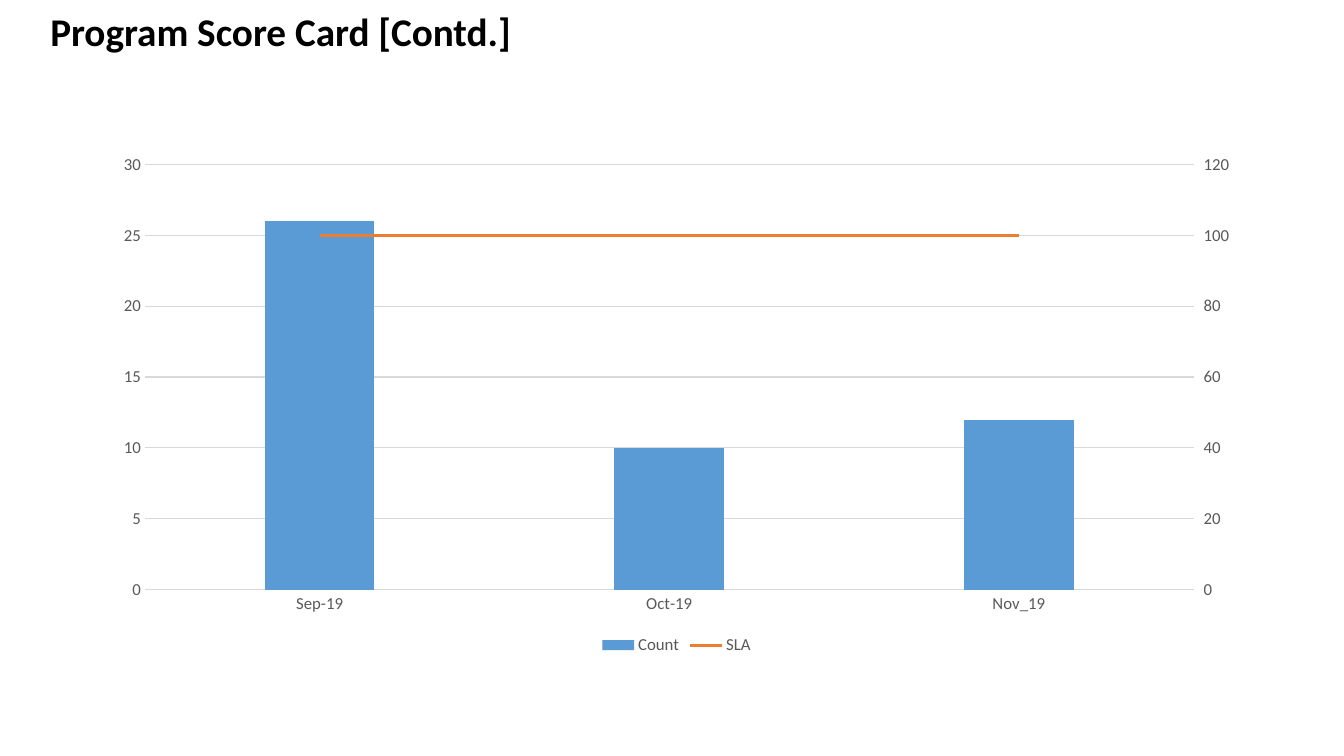
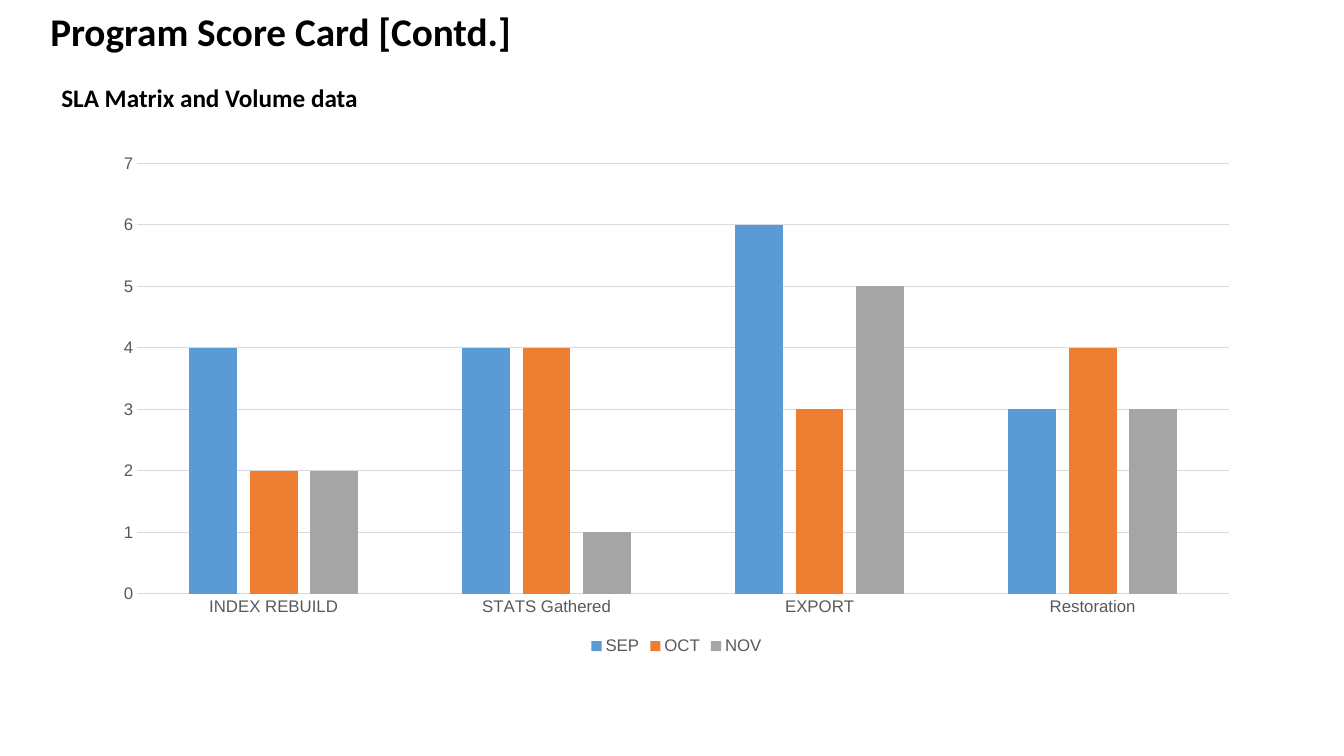
from copy import deepcopy

from pptx import Presentation
from pptx import util as u
from pptx.chart.axis import ValueAxis
from pptx.chart.data import CategoryChartData
from pptx.dml.color import RGBColor
from pptx.enum import chart as charts
from pptx.oxml.xmlchemy import OxmlElement

PX = 9144
COLORS = {
    "text": "000000",
    "label": "595959",
    "grid": "D9D9D9",
    "blue": "5B9BD5",
    "orange": "ED7D31",
    "gray": "A5A5A5",
}
SERIES_COLORS = ["blue", "orange", "gray"]
TITLE_BOX = (40, 2, 965, 103)
SUBTITLE_BOX = (51, 77, 314, 40)
CHART_BOX = (100, 143, 1142, 511)

SLIDES = [
    {
        "subtitle": None,
        "font": "Calibri",
        "categories": ["Sep-19", "Oct-19", "Nov_19"],
        "series": {"Count": [26, 10, 12], "SLA": [100, 100, 100]},
        "scale": (30, 5),
        "overlap": 0,
        "line_scale": (120, 20),
    },
    {
        "subtitle": "SLA Matrix and Volume data",
        "font": "Arial",
        "categories": ["INDEX REBUILD", "STATS Gathered", "EXPORT", "Restoration"],
        "series": {"SEP": [4, 4, 6, 3], "OCT": [2, 4, 3, 4], "NOV": [2, 1, 5, 3]},
        "scale": (7, 1),
        "overlap": -27,
        "line_scale": None,
    },
]


def style_font(font, name, size, color, bold=False):
    font.name = name
    font.size = u.Pt(size)
    font.bold = bold
    font.color.rgb = RGBColor.from_string(COLORS[color])


def add_value(parent, tag, value):
    child = OxmlElement(tag)
    child.set("val", value)
    parent.append(child)


presentation = Presentation()
presentation.slide_width = 1333 * PX
presentation.slide_height = 750 * PX

for content in SLIDES:
    slide = presentation.slides.add_slide(presentation.slide_layouts[6])

    headings = [("Program Score Card [Contd.]", TITLE_BOX, 28)]
    if content["subtitle"]:
        headings.append((content["subtitle"], SUBTITLE_BOX, 18))
    for words, box, size in headings:
        shape = slide.shapes.add_textbox(*[length * PX for length in box])
        shape.text_frame.word_wrap = True
        run = shape.text_frame.paragraphs[0].add_run()
        run.text = words
        style_font(run.font, "Calibri", size, "text", True)

    data = CategoryChartData()
    data.categories = content["categories"]
    for name, values in content["series"].items():
        data.add_series(name, values)
    chart = slide.shapes.add_chart(
        charts.XL_CHART_TYPE.COLUMN_CLUSTERED,
        *[length * PX for length in CHART_BOX],
        data,
    ).chart
    chart.has_title = False
    style_font(chart.font, content["font"], 12, "label")
    chart.has_legend = True
    chart.legend.position = charts.XL_LEGEND_POSITION.BOTTOM
    chart.legend.include_in_layout = False
    style_font(chart.legend.font, content["font"], 12, "label")

    for axis in (chart.category_axis, chart.value_axis):
        axis.major_tick_mark = charts.XL_TICK_MARK.NONE
        style_font(axis.tick_labels.font, content["font"], 12, "label")
    value_axis = chart.value_axis
    value_axis.format.line.fill.background()
    value_axis.minimum_scale = 0
    value_axis.maximum_scale, value_axis.major_unit = content["scale"]
    value_axis.has_major_gridlines = True
    for line in (chart.category_axis.format.line, value_axis.major_gridlines.format.line):
        line.color.rgb = RGBColor.from_string(COLORS["grid"])
        line.width = u.Pt(0.75)

    bars = chart.plots[0]
    bars.vary_by_categories = False
    bars.gap_width = 219
    bars.overlap = content["overlap"]
    for series, color in zip(bars.series, SERIES_COLORS):
        series.format.fill.solid()
        series.format.fill.fore_color.rgb = RGBColor.from_string(COLORS[color])

    if content["line_scale"]:
        root = chart.element
        bar_chart = root.xpath(".//c:barChart")[0]
        line_series = bar_chart.xpath("./c:ser")[1]
        for tag in ("c:invertIfNegative", "c:spPr"):
            for child in line_series.xpath("./" + tag):
                line_series.remove(child)
        line_chart = OxmlElement("c:lineChart")
        add_value(line_chart, "c:grouping", "standard")
        add_value(line_chart, "c:varyColors", "0")
        line_chart.append(line_series)
        add_value(line_chart, "c:marker", "1")
        add_value(line_chart, "c:axId", "3001")
        add_value(line_chart, "c:axId", "3002")
        bar_chart.addnext(line_chart)

        first_category = root.xpath(".//c:catAx")[0]
        first_value = root.xpath(".//c:valAx")[0]
        right_value = deepcopy(first_value)
        hidden_category = deepcopy(first_category)
        first_value.addnext(right_value)
        right_value.addnext(hidden_category)
        for element, own, other in (
            (hidden_category, "3001", "3002"),
            (right_value, "3002", "3001"),
        ):
            element.xpath("./c:axId")[0].set("val", own)
            element.xpath("./c:crossAx")[0].set("val", other)
        hidden_category.xpath("./c:delete")[0].set("val", "1")
        right_value.xpath("./c:axPos")[0].set("val", "r")
        right_value.xpath("./c:crosses")[0].set("val", "max")
        right_axis = ValueAxis(right_value)
        right_axis.has_major_gridlines = False
        right_axis.major_tick_mark = charts.XL_TICK_MARK.OUTSIDE
        right_axis.maximum_scale, right_axis.major_unit = content["line_scale"]

        sla = chart.plots[1].series[0]
        sla.smooth = False
        sla.marker.style = charts.XL_MARKER_STYLE.NONE
        sla.format.line.color.rgb = RGBColor.from_string(COLORS["orange"])
        sla.format.line.width = u.Pt(2.25)

presentation.save("out.pptx")
